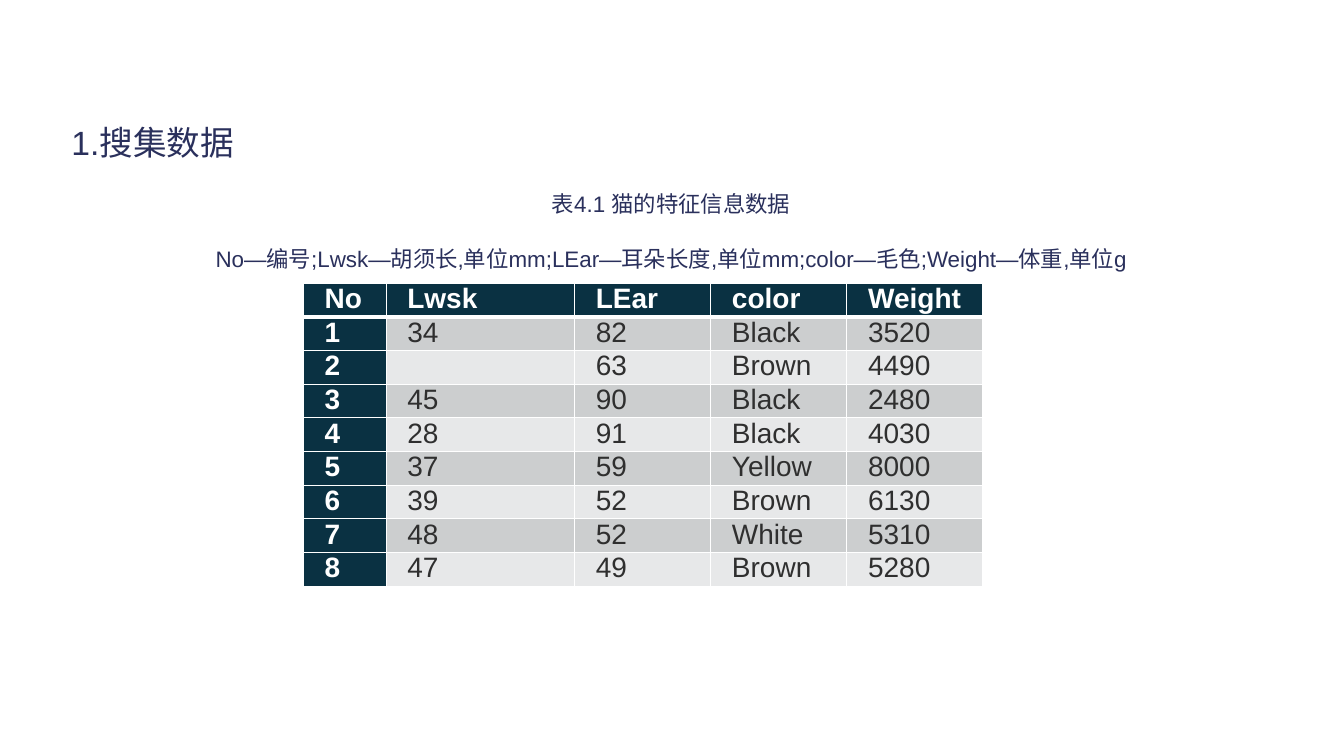
from pptx import Presentation
from pptx.dml.color import RGBColor
from pptx.enum.text import MSO_ANCHOR as Anchor, PP_ALIGN as Align
from pptx.oxml import parse_xml
from pptx.oxml.ns import nsdecls
from pptx.util import Inches, Pt

HEADING = "1.搜集数据"
CAPTIONS = (
    "表4.1 猫的特征信息数据",
    "No—编号;Lwsk—胡须长,单位mm;LEar—耳朵长度,单位mm;color—毛色;Weight—体重,单位g",
)
CAT_ROWS = (
    ("No", "Lwsk", "LEar", "color", "Weight"),
    ("1", "34", "82", "Black", "3520"),
    ("2", "", "63", "Brown", "4490"),
    ("3", "45", "90", "Black", "2480"),
    ("4", "28", "91", "Black", "4030"),
    ("5", "37", "59", "Yellow", "8000"),
    ("6", "39", "52", "Brown", "6130"),
    ("7", "48", "52", "White", "5310"),
    ("8", "47", "49", "Brown", "5280"),
)


def color(value):
    return RGBColor.from_string(value)


class DataSlide:
    font = "Arial"
    navy, dark, white, ink = "2A305C", "0A3142", "FFFFFF", "2F2F2F"
    bands = ("E7E8E9", "CCCECF")

    def __init__(self, presentation):
        self.column = presentation.slide_width / 100
        self.row = presentation.slide_height / 100
        self.slide = presentation.slides.add_slide(presentation.slide_layouts[6])

    def place(self, left, top, width, height):
        return (round(left * self.column), round(top * self.row),
                round(width * self.column), round(height * self.row))

    def run(self, paragraph, text, size, tint, bold=False):
        run = paragraph.add_run()
        run.text = text
        run.font.name = self.font
        run.font.size = Pt(size)
        run.font.bold = bold
        run.font.color.rgb = color(tint)

    def text(self, area, lines):
        frame = self.slide.shapes.add_textbox(*self.place(*area)).text_frame
        frame.word_wrap = True
        frame.vertical_anchor = Anchor.TOP
        for index, (text, size, alignment) in enumerate(lines):
            paragraph = frame.add_paragraph() if index else frame.paragraphs[0]
            paragraph.alignment = alignment
            paragraph.line_spacing = 1.1
            if index:
                paragraph.space_before = Pt(18)
            self.run(paragraph, text, size, self.navy)

    def borders(self, cell, top, bottom):
        properties = cell._tc.get_or_add_tcPr()
        for side, points in (("L", 1), ("R", 1), ("T", top), ("B", bottom)):
            properties.append(parse_xml(
                f'<a:ln{side} {nsdecls("a")} w="{Pt(points)}"><a:solidFill>'
                f'<a:srgbClr val="{self.white}"/></a:solidFill></a:ln{side}>'))

    def cell(self, cell, text, row, column):
        heading = row == 0 or column == 0
        cell.margin_left = cell.margin_right = Inches(0.07)
        cell.margin_top = cell.margin_bottom = 0
        self.borders(cell, 3 if row == 1 else 1, 3 if row == 0 else 1)
        cell.fill.solid()
        cell.fill.fore_color.rgb = color(self.dark if heading else self.bands[row % 2])
        paragraph = cell.text_frame.paragraphs[0]
        paragraph.alignment = Align.JUSTIFY
        paragraph._p.get_or_add_pPr().set("indent", str(Inches(0.14)))
        if text:
            self.run(paragraph, text, 20, self.white if heading else self.ink, heading)

    def table(self, left, top, widths, row_height, rows):
        area = self.place(left, top, sum(widths), row_height * len(rows))
        table = self.slide.shapes.add_table(len(rows), len(widths), *area).table
        for column, width in zip(table.columns, widths):
            column.width = round(width * self.column)
        for row, values in enumerate(rows):
            table.rows[row].height = round(row_height * self.row)
            for column, value in enumerate(values):
                self.cell(table.cell(row, column), value, row, column)


def main():
    presentation = Presentation()
    presentation.slide_width = Inches(13.33)
    presentation.slide_height = Inches(7.5)
    slide = DataSlide(presentation)
    slide.text((4.58, 14.93, 90.7, 75.73),
               [(HEADING, 24, Align.JUSTIFY)]
               + [(caption, 16, Align.CENTER) for caption in CAPTIONS])
    slide.table(22.58, 37.47, (6.15, 14.03, 10.13, 10.13, 10.13), 4.15, CAT_ROWS)
    presentation.save("out.pptx")


if __name__ == "__main__":
    main()
